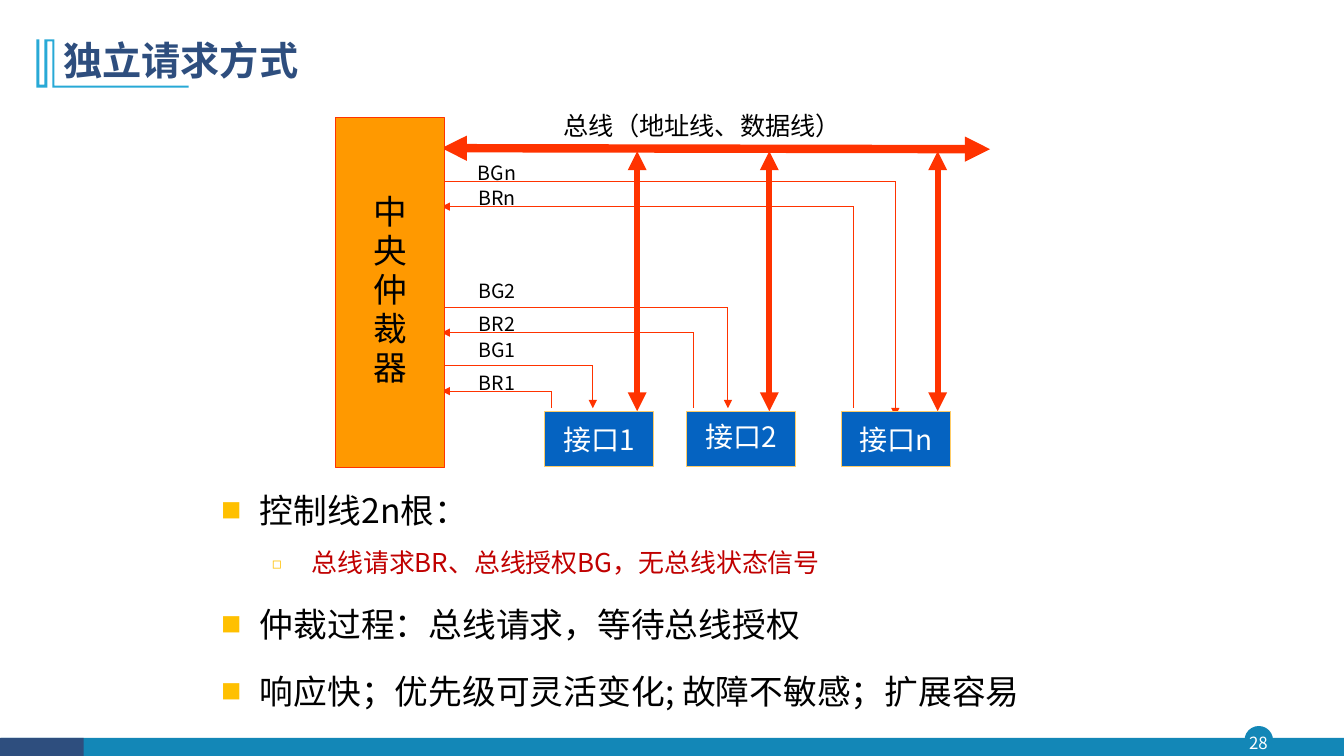
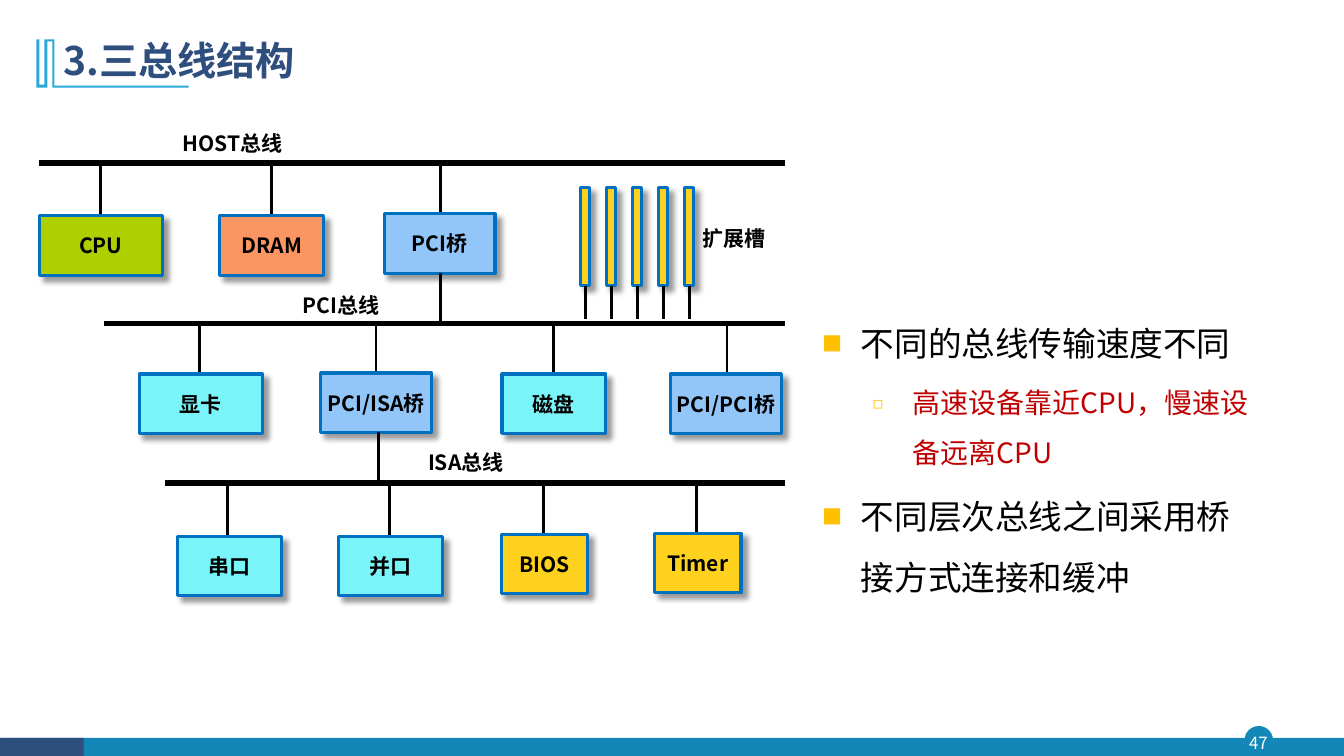
from lxml import etree
from pptx import Presentation
from pptx.dml.color import RGBColor
from pptx.enum.shapes import MSO_CONNECTOR, MSO_SHAPE
from pptx.enum.text import MSO_ANCHOR, PP_ALIGN
from pptx.oxml.ns import qn
from pptx.util import Pt

PX = 9144  # 100 px to the inch
FONT = "Noto Sans CJK SC"
RECT, OVAL = MSO_SHAPE.RECTANGLE, MSO_SHAPE.OVAL
STRAIGHT = MSO_CONNECTOR.STRAIGHT
TOP, MIDDLE = MSO_ANCHOR.TOP, MSO_ANCHOR.MIDDLE
LEFT, CENTER, JUSTIFY = PP_ALIGN.LEFT, PP_ALIGN.CENTER, PP_ALIGN.JUSTIFY

BLACK, WHITE, NAVY, TEAL, SKY = "000000", "FFFFFF", "2E4E7E", "1387B7", "28A9D6"
BULLET, DARK_RED, SIGNAL = "FFC000", "C00000", "FF3300"
ORANGE, PORT_BLUE, PORT_EDGE = "FF9900", "0563C1", "FFCC66"
GREEN, CORAL, BRIDGE, CYAN, YELLOW = "AECF00", "FB9562", "92C5F8", "79F5F9", "FDD11E"
EDGE = "0070C0"

TITLE_MARK = [(54, 39), (54, 85), (187, 85), (187, 87), (52, 87), (52, 41), (47, 41),
              (47, 87), (36, 87), (36, 39), (39, 39), (39, 84), (44, 84), (44, 39)]

# Independent requests: level, text
REQUEST_POINTS = [
    (0, "控制线2n根："),
    (1, "总线请求BR、总线授权BG，无总线状态信号"),
    (0, "仲裁过程：总线请求，等待总线授权"),
    (0, "响应快；优先级可灵活变化; 故障不敏感；扩展容易"),
]
ARBITER = "中央仲裁器"
ARBITER_EDGE, BUS_Y, PORT_TOP = 438, 150, 408
# text, left, x of its bus arrow, bottom inset
PORTS = [("接口1", 540, 632, 5), ("接口2", 681, 763, 11), ("接口n", 835, 930, 5)]
# label, label top, wire y, x at the port, y at the port
GRANTS = [("BG1", 330, 363, 588, 405), ("BG2", 272, 305, 722, 405),
          ("BGn", 155, 180, 888, 413)]
REQUESTS = [("BR1", 363, 388, 547, 405), ("BR2", 305, 330, 688, 405),
            ("BRn", 180, 205, 847, 405)]

# Three buses
BUS_POINTS = [
    (0, "不同的总线传输速度不同"),
    (1, "高速设备靠近CPU，慢速设备远离CPU"),
    (0, "不同层次总线之间采用桥接方式连接和缓冲"),
]
BUS_RIGHT, UNIT_HEIGHT = 779, 59
# label, label left, top and width, bus left, bus y,
# units: text, left, top, width, fill, x of the link
BUSES = [
    ("HOST总线", 133, 125, 195, 39, 162, [
        ("CPU", 39, 214, 122, GREEN, 100),
        ("DRAM", 218, 214, 103, CORAL, 269),
        ("PCI桥", 381, 212, 110, BRIDGE, 437)]),
    ("PCI总线", 271, 285, 135, 103, 321, [
        ("显卡", 138, 371, 122, CYAN, 198),
        ("PCI/ISA桥", 318, 370, 110, BRIDGE, 373),
        ("磁盘", 498, 371, 103, CYAN, 549),
        ("PCI/PCI桥", 665, 371, 110, BRIDGE, 721)]),
    ("ISA总线", 400, 441, 124, 164, 479, [
        ("串口", 176, 532, 103, CYAN, 226),
        ("并口", 336, 532, 103, CYAN, 386),
        ("BIOS", 497, 530, 86, YELLOW, 539),
        ("Timer", 649, 529, 86, YELLOW, 691)]),
]
BRIDGE_LINKS = [(437, 271, 321), (375, 429, 479)]  # x, top, bottom
SLOT_LEFT, SLOT_PITCH, SLOT_COUNT = 576, 25.75, 5


def color(value):
    return RGBColor.from_string(value)


def px(*lengths):
    return [round(length * PX) for length in lengths]


def style(para, size, tint, bold=False, align=CENTER, spacing=None, before=0):
    para.alignment = align
    if spacing:
        para.line_spacing = spacing
    if before:
        para.space_before = Pt(before)
    font = para.font
    font.name, font.size, font.bold = FONT, Pt(size), bold
    font.color.rgb = color(tint)
    latin = font._element.find(qn("a:latin"))
    latin.addnext(latin.makeelement(qn("a:ea"), {"typeface": FONT}))


def set_frame(shape, anchor=MIDDLE, wrap=True, insets=(10, 5, 10, 5)):
    frame = shape.text_frame
    frame.word_wrap, frame.vertical_anchor = wrap, anchor
    (frame.margin_left, frame.margin_top,
     frame.margin_right, frame.margin_bottom) = px(*insets)
    return frame


def add_text(page, at, text, size, tint=BLACK, bold=False, align=CENTER,
             anchor=TOP, insets=(10, 5, 10, 5), spacing=None):
    box = page.shapes.add_textbox(*px(*at))
    para = set_frame(box, anchor, True, insets).paragraphs[0]
    para.text = text
    style(para, size, tint, bold, align, spacing)


def add_box(page, at, fill, edge=None, width=0.75, kind=RECT):
    box = page.shapes.add_shape(kind, *px(*at))
    box.shadow.inherit = False
    box.fill.solid()
    box.fill.fore_color.rgb = color(fill)
    if edge:
        box.line.color.rgb, box.line.width = color(edge), Pt(width)
    else:
        box.line.fill.background()
    return box


def add_raised_box(page, at, fill):
    """Add a blue-edged box with a soft shadow to the lower right."""
    box = add_box(page, at, fill, EDGE, 2.25)
    effects = box._element.spPr.find(qn("a:effectLst"))
    shadow = etree.SubElement(effects, qn("a:outerShdw"), blurRad="50800",
                              dist="63500", dir="2700000", algn="tl", rotWithShape="0")
    tint = etree.SubElement(shadow, qn("a:srgbClr"), val=BLACK)
    etree.SubElement(tint, qn("a:alpha"), val="40000")
    return box


def add_line(page, start, end, tint, width, heads=()):
    line = page.shapes.add_connector(STRAIGHT, *px(*start, *end))
    line.line.color.rgb, line.line.width = color(tint), Pt(width)
    for head in heads:
        etree.SubElement(line.line._get_or_add_ln(), qn(f"a:{head}"), type="triangle")
    etree.SubElement(line._element.spPr, qn("a:effectLst"))


def add_points(page, at, points, sizes, align, spacing, gaps):
    box = page.shapes.add_textbox(*px(*at))
    frame = set_frame(box, TOP)
    for index, (level, text) in enumerate(points):
        para = frame.paragraphs[0] if index == 0 else frame.add_paragraph()
        para.text, para.level = text, level
        indent, hang, mark = [(38, 38, "■"), (89, 39, "◻")][level]
        props = para._p.get_or_add_pPr()
        props.set("marL", str(indent * PX))
        props.set("indent", str(-hang * PX))
        tint = etree.SubElement(props, qn("a:buClr"))
        etree.SubElement(tint, qn("a:srgbClr"), val=BULLET)
        etree.SubElement(props, qn("a:buSzPct"), val="60000")
        etree.SubElement(props, qn("a:buFont"), typeface=FONT)
        etree.SubElement(props, qn("a:buChar"), char=mark)
        style(para, sizes[level], (BLACK, DARK_RED)[level], False, align, spacing,
              gaps[level] if index else 0)


def add_page(deck, title, number):
    """Add a slide with the shared footer, page number and title."""
    page = deck.slides.add_slide(deck.slide_layouts[6])
    add_box(page, (1235, 721, 27, 27), TEAL, TEAL, 1, OVAL)
    add_box(page, (1, 732, 1332, 19), TEAL)
    add_box(page, (0, 732, 83, 19), NAVY)
    add_text(page, (1232, 721, 32, 31), number, 12, WHITE, anchor=MIDDLE,
             insets=(0, 0, 0, 0))
    outline = page.shapes.build_freeform(*TITLE_MARK[0], scale=PX)
    outline.add_line_segments(TITLE_MARK[1:], close=True)
    mark = outline.convert_to_shape()
    mark.shadow.inherit = False
    mark.fill.solid()
    mark.fill.fore_color.rgb = color(SKY)
    mark.line.fill.background()
    add_text(page, (53, 28, 1150, 68), title, 28, NAVY, True, LEFT, MIDDLE, spacing=0.9)
    return page


def build_requests(deck):
    page = add_page(deck, "独立请求方式", "28")
    add_points(page, (210, 469, 899, 252), REQUEST_POINTS, (24.1, 18.5), JUSTIFY,
               1.3, (10, 5))
    both = ("headEnd", "tailEnd")
    add_line(page, (ARBITER_EDGE, 147), (982, 148), SIGNAL, 6, both)
    for _, _, x, _ in PORTS:
        add_line(page, (x, BUS_Y), (x, PORT_TOP), SIGNAL, 4.5, both)
    for wires, out_head, down_head in ((REQUESTS, ["tailEnd"], []),
                                       (GRANTS, [], ["tailEnd"])):
        for label, label_top, y, x, bottom in wires:
            ends = [(ARBITER_EDGE, y), (x, y)]
            if out_head:
                ends.reverse()
            add_line(page, *ends, SIGNAL, 0.75, out_head)
            add_line(page, (x, y), (x, bottom), SIGNAL, 0.75, down_head)
            add_text(page, (447, label_top, 92, 33), label, 14)
    add_text(page, (530, 105, 333, 40), "总线（地址线、数据线）", 18)

    arbiter = add_box(page, (333, 117, 108, 347), ORANGE, SIGNAL)
    frame = set_frame(arbiter, wrap=False)
    for index, letter in enumerate(ARBITER):
        para = frame.add_paragraph() if index else frame.paragraphs[0]
        para.text = letter
        style(para, 24, BLACK, spacing=0.8, before=4.8 if index else 0)
    for text, left, _, bottom_inset in PORTS:
        port = add_box(page, (left, PORT_TOP, 108, 55), PORT_BLUE, PORT_EDGE)
        para = set_frame(port, wrap=False, insets=(10, 5, 10, bottom_inset)).paragraphs[0]
        para.text = text
        style(para, 20, WHITE)


def build_buses(deck):
    page = add_page(deck, "3.三总线结构", "47")
    add_points(page, (806, 295, 457, 263), BUS_POINTS, (24, 20), LEFT, 1.5, (4.8, 4))
    for label, left, top, width, bus_left, bus_y, units in BUSES:
        add_line(page, (bus_left, bus_y), (BUS_RIGHT, bus_y), BLACK, 4)
        add_text(page, (left, top, width, 37), label, 15, bold=True)
        for text, unit_left, unit_top, unit_width, fill, x in units:
            add_line(page, (x, bus_y), (x, unit_top), BLACK, 2)
            unit = add_raised_box(page, (unit_left, unit_top, unit_width, UNIT_HEIGHT), fill)
            para = set_frame(unit, wrap=False, insets=(0, 0, 0, 0)).paragraphs[0]
            para.text = text
            style(para, 15, BLACK, True)
    for x, top, bottom in BRIDGE_LINKS:
        add_line(page, (x, top), (x, bottom), BLACK, 2)
    for index in range(SLOT_COUNT):
        left = SLOT_LEFT + index * SLOT_PITCH
        add_raised_box(page, (left, 186, 9, 97), YELLOW)
        add_line(page, (left + 5, 284), (left + 5, 316), BLACK, 2)
    add_text(page, (683, 219, 90, 37), "扩展槽", 15, bold=True)


def main():
    deck = Presentation()
    deck.slide_width, deck.slide_height = px(1333, 750)
    build_requests(deck)
    build_buses(deck)
    deck.save("out.pptx")


if __name__ == "__main__":
    main()
